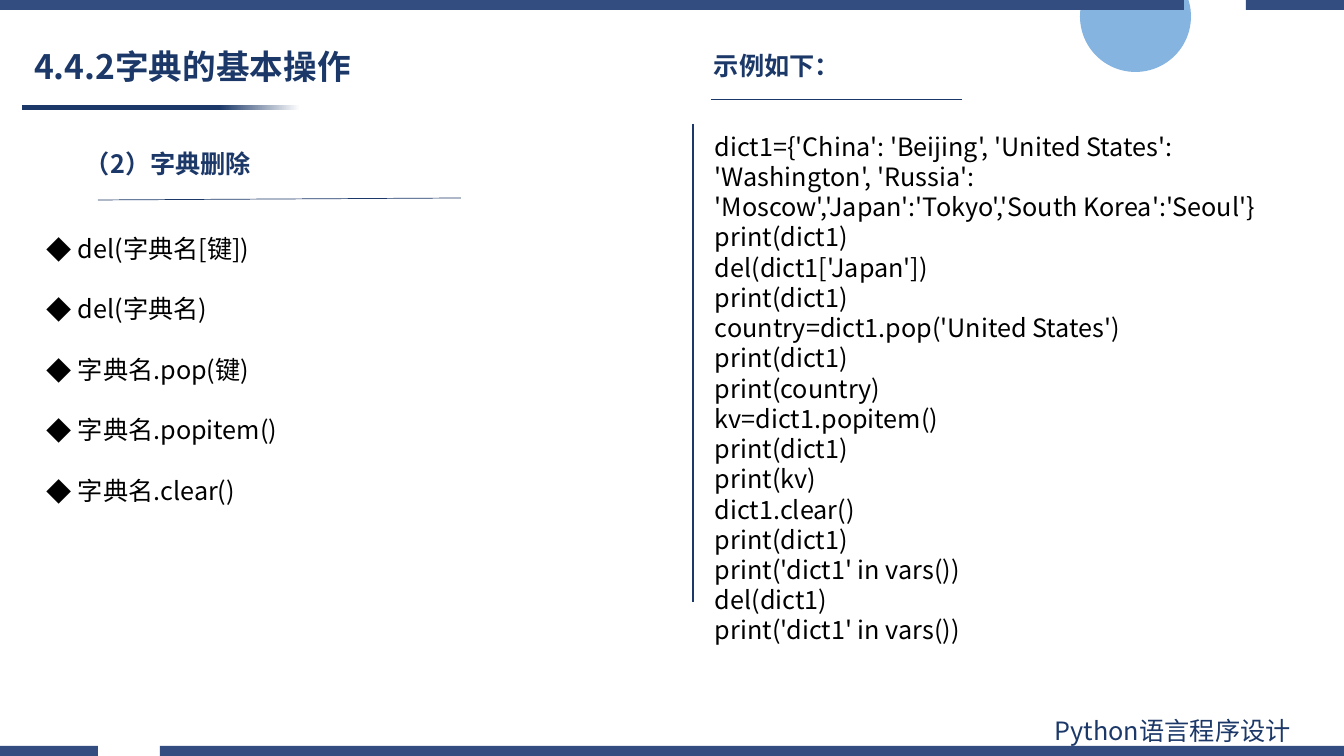
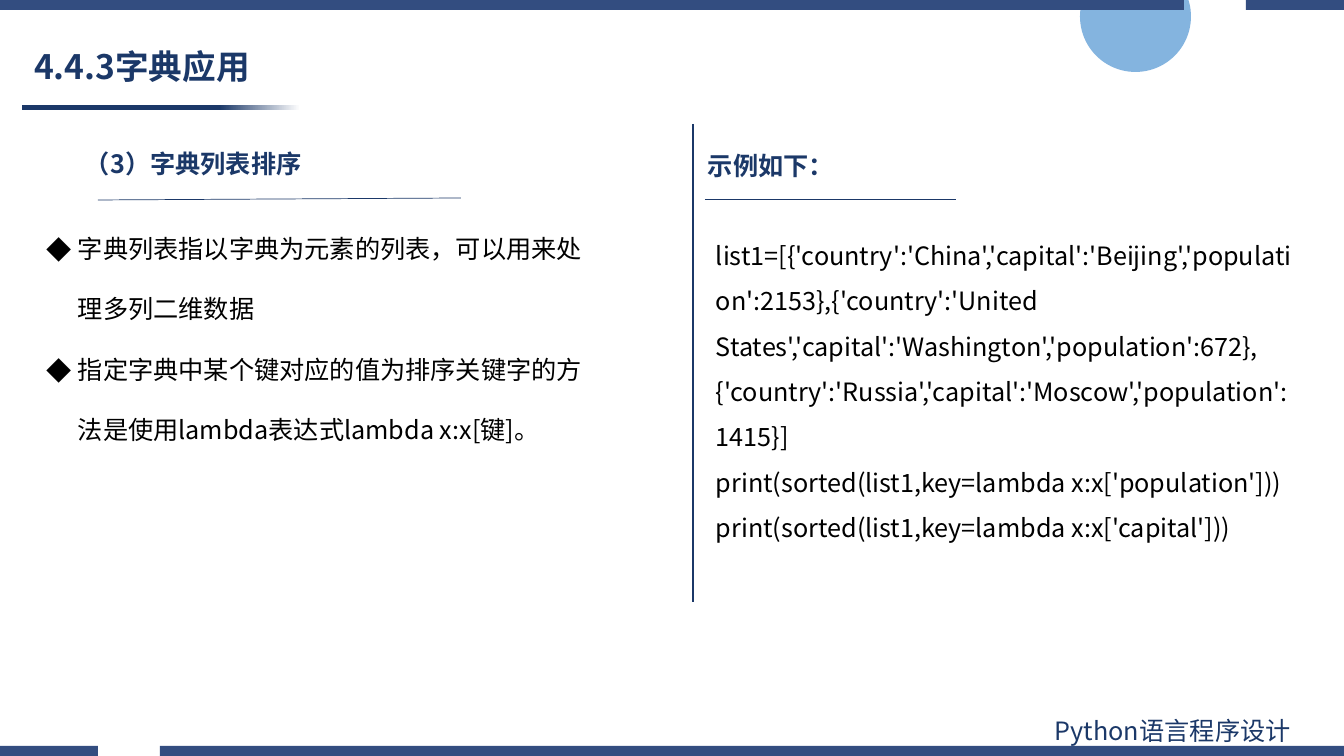
from lxml.etree import SubElement
from pptx import Presentation
from pptx.dml.color import RGBColor
from pptx.enum.shapes import MSO_CONNECTOR as CONNECTOR, MSO_SHAPE as SHAPE
from pptx.enum.text import MSO_ANCHOR as ANCHOR, MSO_AUTO_SIZE as AUTO, PP_ALIGN as ALIGN
from pptx.oxml.ns import qn
from pptx.util import Pt

WIDTH, HEIGHT = 1344, 756
SCALE = 12192000 / WIDTH
FONT = "Noto Sans CJK SC"
COLORS = {
    "navy": "1B3868",
    "band": "334D80",
    "sky": "5B9BD5",
    "black": "000000",
    "white": "FFFFFF",
}
BAND_HEIGHT = 10
HANGING = 31

DELETE_FORMS = """del(字典名[键])
del(字典名)
字典名.pop(键)
字典名.popitem()
字典名.clear()"""

DELETE_CODE = """dict1={'China': 'Beijing', 'United States': 'Washington', 'Russia': 'Moscow','Japan':'Tokyo','South Korea':'Seoul'}
print(dict1)
del(dict1['Japan'])
print(dict1)
country=dict1.pop('United States')
print(dict1)
print(country)
kv=dict1.popitem()
print(dict1)
print(kv)
dict1.clear()
print(dict1)
print('dict1' in vars())
del(dict1)
print('dict1' in vars())"""

SORT_NOTES = """字典列表指以字典为元素的列表，可以用来处理多列二维数据
指定字典中某个键对应的值为排序关键字的方法是使用lambda表达式lambda x:x[键]。"""

SORT_CODE = """list1=[{'country':'China','capital':'Beijing','population':2153},{'country':'United States','capital':'Washington','population':672},{'country':'Russia','capital':'Moscow','population':1415}]
print(sorted(list1,key=lambda x:x['population']))
print(sorted(list1,key=lambda x:x['capital']))"""


def px(*lengths):
    return [round(length * SCALE) for length in lengths]


def rgb(name):
    return RGBColor.from_string(COLORS[name])


def add_bullet(paragraph):
    properties = paragraph._p.get_or_add_pPr()
    indent = px(HANGING)[0]
    properties.set("marL", str(indent))
    properties.set("indent", str(-indent))
    SubElement(properties, qn("a:buFont"), typeface=FONT)
    SubElement(properties, qn("a:buChar"), char="◆")


def write(holder, text, size=18, color="black", bold=False, spacing=1.0,
          bullet=False, anchor=ANCHOR.TOP):
    frame = holder.text_frame
    frame.word_wrap = True
    frame.auto_size = AUTO.NONE
    frame.vertical_anchor = anchor
    for index, line in enumerate(text.split("\n")):
        paragraph = frame.add_paragraph() if index else frame.paragraphs[0]
        if bullet:
            add_bullet(paragraph)
        paragraph.alignment = ALIGN.LEFT
        paragraph.line_spacing = spacing
        run = paragraph.add_run()
        run.text = line
        run.font.size = Pt(size)
        run.font.bold = bold
        run.font.color.rgb = rgb(color)
        run.font.name = FONT
        SubElement(run._r.get_or_add_rPr(), qn("a:ea"), typeface=FONT)


def add_text(slide, box, text, **style):
    write(slide.shapes.add_textbox(*px(*box)), text, **style)


def add_line(slide, start, end, weight=0.5):
    line = slide.shapes.add_connector(CONNECTOR.STRAIGHT, *px(*start, *end))
    line.line.color.rgb = rgb("navy")
    line.line.width = Pt(weight)
    SubElement(line._element.spPr, qn("a:effectLst"))


def paint(shape, color):
    shape.shadow.inherit = False
    shape.line.fill.background()
    shape.fill.solid()
    shape.fill.fore_color.rgb = rgb(color)


def add_band(slide, top, gap_start, gap_end):
    bottom = top + BAND_HEIGHT
    builder = slide.shapes.build_freeform(0, top, scale=SCALE)
    for left, right in ((0, gap_start), (gap_end, WIDTH)):
        builder.move_to(left, top)
        builder.add_line_segments([(right, top), (right, bottom), (left, bottom)], close=True)
    paint(builder.convert_to_shape(), "band")


def add_corner_disc(slide):
    disc = slide.shapes.add_shape(SHAPE.OVAL, *px(1080, -39, 111, 111))
    paint(disc, "sky")
    color = disc._element.spPr.find(qn("a:solidFill"))[0]
    SubElement(color, qn("a:alpha"), val="75000")


def add_title_rule(slide):
    rule = slide.shapes.add_shape(SHAPE.RECTANGLE, *px(22, 105, 278, 5))
    paint(rule, "navy")
    rule.fill.gradient()
    rule.fill.gradient_angle = 0
    for stop, position, color in zip(rule.fill.gradient_stops, (0.71, 1), ("navy", "white")):
        stop.position = position
        stop.color.rgb = rgb(color)


def add_page(deck, title):
    slide = deck.slides.add_slide(deck.slide_layouts[5])
    add_corner_disc(slide)
    add_title_rule(slide)
    add_band(slide, 0, 1184, 1246)
    add_band(slide, HEIGHT - BAND_HEIGHT, 98, 160)
    add_text(slide, (1045, 710, 296, 40), "Python语言程序设计", color="navy")
    heading = slide.shapes.title
    heading.left, heading.top, heading.width, heading.height = px(24, 41, 609, 56)
    write(heading, title, size=24, color="navy", bold=True, spacing=0.9, anchor=ANCHOR.MIDDLE)
    add_line(slide, (693, 124), (693, 602), weight=2)
    return slide


def add_topic(slide, topic, points):
    add_text(slide, (75, 143, 343, 40), topic, color="navy", bold=True)
    add_line(slide, (98, 200), (461, 198))
    add_text(slide, (37, 198, 559, 306), points, spacing=2.0, bullet=True)


def add_example(slide, left, top, code, code_box, spacing=1.0):
    add_text(slide, (left, top, 343, 40), "示例如下：", color="navy", bold=True)
    rule_left, rule_top = left + 7, top + 54
    add_line(slide, (rule_left, rule_top), (rule_left + 251, rule_top))
    add_text(slide, code_box, code, spacing=spacing)


def main():
    deck = Presentation()
    deck.slide_width, deck.slide_height = px(WIDTH, HEIGHT)

    deletion = add_page(deck, "4.4.2字典的基本操作")
    add_topic(deletion, "（2）字典删除", DELETE_FORMS)
    add_example(deletion, 704, 45, DELETE_CODE, (705, 126, 604, 529))

    sorting = add_page(deck, "4.4.3字典应用")
    add_topic(sorting, "（3）字典列表排序", SORT_NOTES)
    add_example(sorting, 698, 145, SORT_CODE, (706, 220, 604, 371), spacing=1.5)

    deck.save("out.pptx")


if __name__ == "__main__":
    main()
